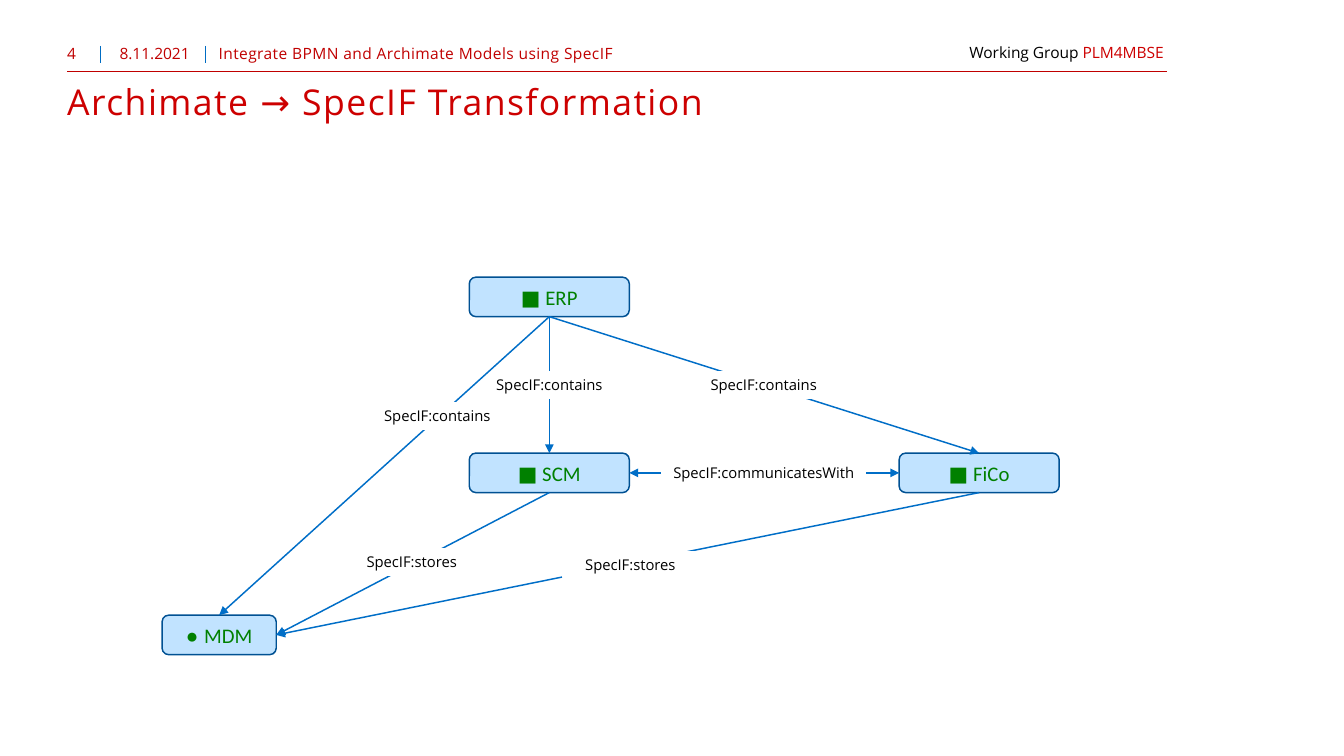
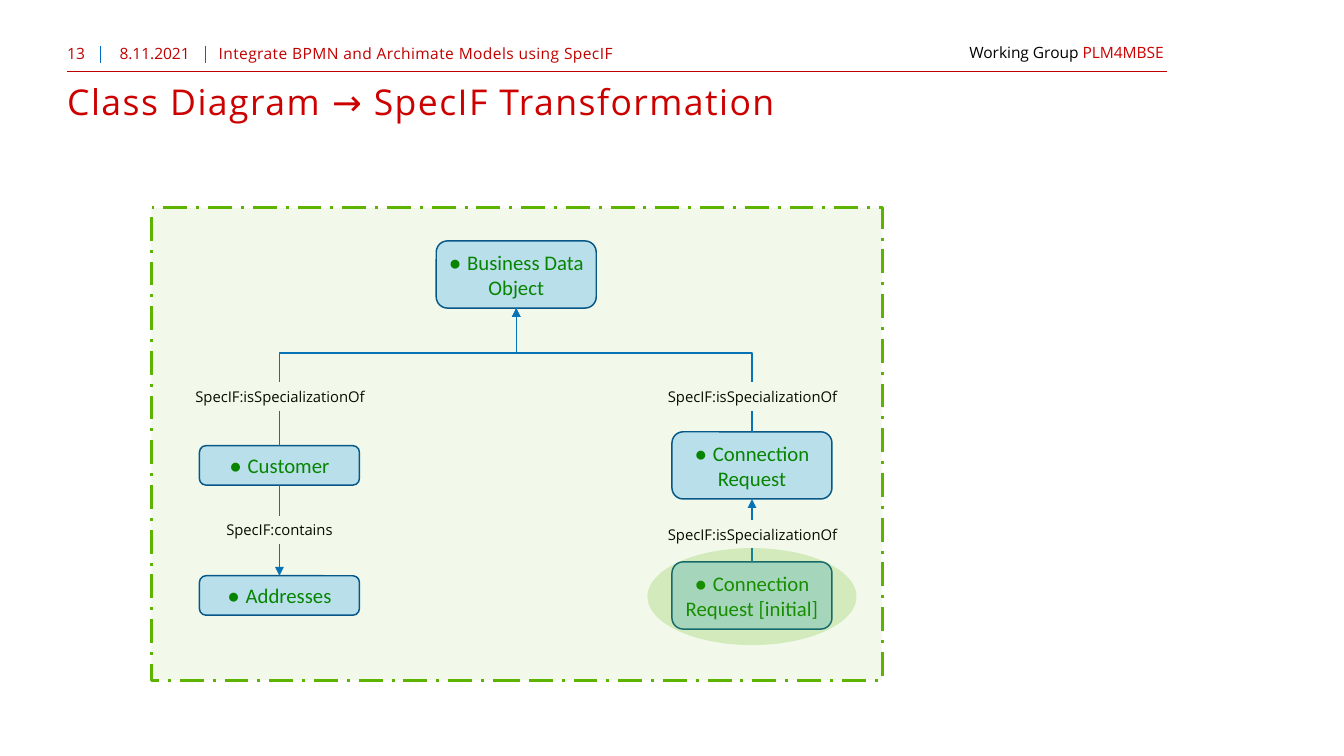
"""Two SpecIF transformation slides with node and relation diagrams."""
from dataclasses import dataclass

from lxml import etree
from pptx import Presentation
from pptx.dml.color import RGBColor
from pptx.enum.dml import MSO_LINE
from pptx.enum.shapes import MSO_CONNECTOR, MSO_SHAPE
from pptx.enum.text import MSO_ANCHOR, MSO_AUTO_SIZE, PP_ALIGN
from pptx.oxml.ns import qn
from pptx.util import Pt

PX = 9144
STRAIGHT, ELBOW = MSO_CONNECTOR.STRAIGHT, MSO_CONNECTOR.ELBOW
RECTANGLE, ROUNDED, OVAL = MSO_SHAPE.RECTANGLE, MSO_SHAPE.ROUNDED_RECTANGLE, MSO_SHAPE.OVAL
TOP_ANCHOR, MIDDLE = MSO_ANCHOR.TOP, MSO_ANCHOR.MIDDLE
LEFT_ALIGN, CENTER = PP_ALIGN.LEFT, PP_ALIGN.CENTER
NO_FIT, GROW = MSO_AUTO_SIZE.NONE, MSO_AUTO_SIZE.SHAPE_TO_FIT_TEXT
DASH_DOT = MSO_LINE.LONG_DASH_DOT
TOP, LEFT, BOTTOM, RIGHT = range(4)


@dataclass(frozen=True)
class Theme:
    """Colours, fonts and type sizes of the deck."""
    red: str = "CD0000"
    dark_red: str = "C00000"
    separator: str = "006CC3"
    relation: str = "006EC7"
    node_fill: str = "C1E3FF"
    node_line: str = "005193"
    node_text: str = "008000"
    highlight: str = "5CB400"
    black: str = "000000"
    white: str = "FFFFFF"
    text_font: str = "Open Sans"
    node_font: str = "Calibri"
    bullet_font: str = "Arial"
    title_size: float = 24
    header_size: float = 10.5
    node_size: float = 14
    label_size: float = 10


def set_values(target, values):
    """Set each named attribute of the target."""
    for name, value in values.items():
        setattr(target, name, value)


def place(left, top, width, height):
    """Return the position attributes in EMU."""
    return {"left": left * PX, "top": top * PX, "width": width * PX, "height": height * PX}


def insets(side, top, bottom):
    """Return the text margins in EMU."""
    return {"margin_left": side * PX, "margin_right": side * PX,
            "margin_top": top * PX, "margin_bottom": bottom * PX}


class Deck:
    """Holds the theme, the shared layout and the current slide."""

    def __init__(self, theme):
        """Start a presentation with the shared title position."""
        self.theme = theme
        self.presentation = Presentation()
        set_values(self.presentation, {"slide_width": 1260 * PX, "slide_height": 709 * PX})
        self.layout = self.presentation.slide_layouts[5]
        set_values(self.layout.placeholders[0], place(63, 71, 1055, 76))
        self.slide = None

    def set_text(self, frame, runs, size, align=LEFT_ALIGN, spacing=0, **frame_values):
        """Set one paragraph of (text, colour, font) runs."""
        set_values(frame, {"word_wrap": True, **frame_values})
        paragraph = frame.paragraphs[0]
        paragraph.alignment = align
        for text, color, font in runs:
            run = paragraph.add_run()
            run.text = text
            set_values(run.font, {"size": Pt(size), "name": font})
            run.font.color.rgb = RGBColor.from_string(color)
            if spacing:
                run._r.get_or_add_rPr().set("spc", str(spacing))

    def text(self, box, runs, **options):
        """Add a header text box."""
        text_box = self.slide.shapes.add_textbox(*place(*box).values())
        self.set_text(text_box.text_frame, runs, self.theme.header_size, **options)

    def outline(self, line, color, width):
        """Set the colour and width of a line."""
        line.color.rgb = RGBColor.from_string(color)
        line.width = Pt(width)

    def shape(self, kind, box, fill, line=None, width=1, opacity=100):
        """Add a filled preset shape without shadow."""
        shape = self.slide.shapes.add_shape(kind, *place(*box).values())
        shape.shadow.inherit = False
        shape.fill.solid()
        shape.fill.fore_color.rgb = RGBColor.from_string(fill)
        if opacity < 100:
            color = shape.element.spPr.find(".//" + qn("a:srgbClr"))
            etree.SubElement(color, qn("a:alpha"), val=str(opacity * 1000))
        if line:
            self.outline(shape.line, line, width)
        else:
            shape.line.fill.background()
        return shape

    def line(self, start, end, color, width, kind=STRAIGHT, arrows=()):
        """Add a connector with optional arrowheads."""
        points = [value * PX for value in (*start, *end)]
        connector = self.slide.shapes.add_connector(kind, *points)
        self.outline(connector.line, color, width)
        properties = connector.element.spPr
        for arrow in arrows:
            etree.SubElement(properties.find(qn("a:ln")), qn("a:" + arrow), type="triangle")
        etree.SubElement(properties, qn("a:effectLst"))
        return connector

    def share_header(self):
        """Draw the header once and move it to the layout."""
        theme = self.theme
        existing = len(self.slide.shapes)
        self.line((63, 67), (1094, 67), theme.dark_red, 1)
        for x in (94, 193):
            self.line((x, 43), (x, 59), theme.separator, 0.75)
        self.text((899, 35, 206, 28), [("Working Group ", theme.black, theme.text_font),
                                       ("PLM4MBSE", theme.red, theme.text_font)],
                  word_wrap=False, auto_size=GROW)
        for shape in list(self.slide.shapes)[existing:]:
            self.layout.shapes.element.append(shape.element)

    def new_slide(self, number, title):
        """Add a slide with its title and header texts."""
        theme = self.theme
        first = self.slide is None
        self.slide = self.presentation.slides.add_slide(self.layout)
        if first:
            self.share_header()
        self.set_text(self.slide.shapes.title.text_frame, [(title, theme.red, theme.text_font)],
                      theme.title_size, spacing=100, vertical_anchor=TOP_ANCHOR,
                      auto_size=NO_FIT, **insets(0, 4, 0))
        for left, width, text, align, spacing in (
                (63, 31, number, LEFT_ALIGN, 0),
                (100, 90, "8.11.2021", CENTER, 0),
                (205, 913, "Integrate BPMN and Archimate Models using SpecIF", LEFT_ALIGN, 30)):
            self.text((left, 39, width, 24), [(text, theme.dark_red, theme.text_font)],
                      align=align, spacing=spacing, **insets(0, 2, 0))

    def node(self, left, top, bullet, name, width=150, height=37):
        """Add a rounded node with a bullet symbol and a name."""
        theme = self.theme
        shape = self.shape(ROUNDED, (left, top, width, height), theme.node_fill, theme.node_line)
        bullet_font = theme.bullet_font if bullet == "●" else theme.node_font
        self.set_text(shape.text_frame, [(bullet + " ", theme.node_text, bullet_font),
                                         (name, theme.node_text, theme.node_font)],
                      theme.node_size, CENTER, vertical_anchor=MIDDLE, auto_size=GROW,
                      **insets(5, 5, 5))
        return shape

    def label(self, center, text, width):
        """Add a relation label centred on a point."""
        theme = self.theme
        x, y = center
        box = (x - width // 2, y - 12, width, 24)
        shape = self.shape(RECTANGLE, box, theme.white, theme.white, 2)
        self.set_text(shape.text_frame, [("SpecIF:" + text, theme.black, theme.text_font)],
                      theme.label_size, CENTER, vertical_anchor=MIDDLE)

    def glue(self, source, target, kind=STRAIGHT, arrows=("tailEnd",)):
        """Add a connector attached to two (node, site) ends."""
        connector = self.line((0, 0), (1, 1), self.theme.relation, 1, kind, arrows)
        connector.begin_connect(*source)
        connector.end_connect(*target)
        return connector

    def relation(self, source, target, text, width=126, center=None, arrows=("tailEnd",)):
        """Add a straight relation with its label, by default halfway."""
        connector = self.glue(source, target, arrows=arrows)
        middle = ((connector.begin_x + connector.end_x) // (2 * PX),
                  (connector.begin_y + connector.end_y) // (2 * PX))
        self.label(center or middle, text, width)

    def upward_elbow(self, source, target, bend_y):
        """Add an elbow that leaves upwards and turns at a given height."""
        connector = self.glue(source, target, ELBOW)
        x1, y1 = connector.begin_x, connector.begin_y
        x2, y2 = connector.end_x, connector.end_y
        rise, run = y1 - y2, abs(x2 - x1)
        set_values(connector, {"left": (x1 + x2 - rise) // 2, "top": (y1 + y2 - run) // 2,
                               "width": rise, "height": run})
        properties = connector.element.spPr
        frame = properties.find(qn("a:xfrm"))
        for name, value in {"rot": 270 * 60000, "flipH": 0, "flipV": int(x1 > x2)}.items():
            frame.set(name, str(value))
        ratio = round((y1 - bend_y * PX) / rise * 100000)
        etree.SubElement(properties.find(".//" + qn("a:avLst")), qn("a:gd"),
                         name="adj1", fmla=f"val {ratio}")


def archimate_slide(deck):
    """Build the Archimate transformation."""
    deck.new_slide("4", "Archimate → SpecIF Transformation")
    erp = deck.node(440, 260, "■", "ERP")
    scm = deck.node(440, 425, "■", "SCM")
    fico = deck.node(843, 425, "■", "FiCo")
    mdm = deck.node(152, 577, "●", "MDM", width=107)
    deck.relation((erp, BOTTOM), (scm, TOP), "contains")
    deck.relation((erp, BOTTOM), (fico, TOP), "contains")
    deck.relation((scm, RIGHT), (fico, LEFT), "communicatesWith", 190,
                  arrows=("headEnd", "tailEnd"))
    deck.relation((scm, BOTTOM), (mdm, RIGHT), "stores", center=(386, 527))
    deck.relation((fico, BOTTOM), (mdm, RIGHT), "stores", center=(591, 530))
    deck.relation((erp, BOTTOM), (mdm, TOP), "contains", center=(410, 390))


def class_slide(deck):
    """Build the class diagram transformation."""
    theme = deck.theme
    deck.new_slide("13", "Class Diagram → SpecIF Transformation")
    parent = deck.node(409, 226, "●", "Business Data Object", height=63)
    addresses = deck.node(187, 540, "●", "Addresses")
    customer = deck.node(187, 418, "●", "Customer")
    request = deck.node(630, 405, "●", "Connection Request", height=63)
    initial = deck.node(630, 527, "●", "Connection Request [initial]", height=63)
    deck.relation((initial, TOP), (request, BOTTOM), "isSpecializationOf", 185, (705, 501))
    deck.relation((customer, BOTTOM), (addresses, TOP), "contains")
    for child in (request, customer):
        deck.upward_elbow((child, TOP), (parent, BOTTOM), 331)
    for x in (705, 262):
        deck.label((x, 372), "isSpecializationOf", 185)
    deck.shape(OVAL, (607, 514, 196, 91), theme.highlight, opacity=20)
    area = deck.shape(RECTANGLE, (142, 195, 685, 443), theme.highlight, theme.highlight, 2,
                      opacity=8)
    area.line.dash_style = DASH_DOT


def main():
    """Build and save the deck."""
    deck = Deck(Theme())
    archimate_slide(deck)
    class_slide(deck)
    deck.presentation.save("out.pptx")


if __name__ == "__main__":
    main()
